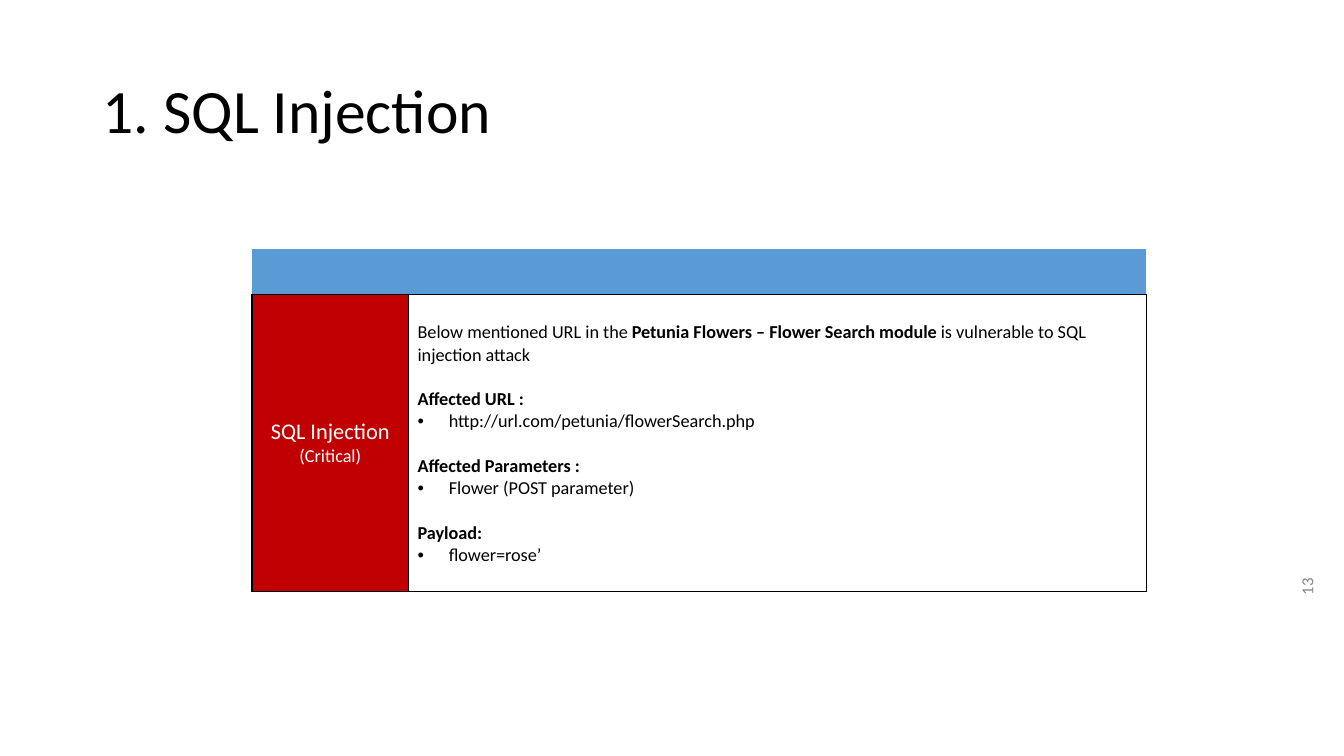
from dataclasses import dataclass

from lxml import etree
from pptx import Presentation
from pptx import util as u
from pptx.dml.color import RGBColor
from pptx.enum import text
from pptx.oxml.ns import qn


@dataclass(frozen=True)
class Theme:
    font: str = "Calibri"
    ink: str = "000000"
    paper: str = "FFFFFF"
    header: str = "5B9BD5"
    critical: str = "C00000"
    muted: str = "888888"
    title: int = 44
    finding: int = 16
    body: int = 13
    number: int = 12
    rule: float = 1


THEME = Theme()
WIDTH, HEIGHT = 13.33, 7.5
TITLE_BOX = (0.92, 0.4, 11.5, 1.45)
TABLE_BOX = (2.5, 2.47, 8.87, 3.4)
NUMBER_BOX = (12.24, 6.11, 1.44, 0.5)
LABEL_SHARE = 0.175
HEADER_HEIGHT = 0.45
BULLET_INDENT = 0.31

SUMMARY = [
    ("Below mentioned URL in the ", False),
    ("Petunia Flowers – Flower Search module ", True),
    ("is vulnerable to SQL injection attack", False),
]
DETAILS = [
    ("Affected URL :", "http://url.com/petunia/flowerSearch.php"),
    ("Affected Parameters :", "Flower (POST parameter)"),
    ("Payload:", "flower=rose’"),
]


def add_span(para, words, size, color, bold=False):
    span = para.add_run()
    span.text = words
    span.font.name = THEME.font
    span.font.size = u.Pt(size)
    span.font.bold = bold
    span.font.color.rgb = RGBColor.from_string(color)


def add_text(page, box, words, size, color):
    shape = page.shapes.add_textbox(*map(u.Inches, box))
    frame = shape.text_frame
    frame.word_wrap = True
    frame.vertical_anchor = text.MSO_ANCHOR.MIDDLE
    add_span(frame.paragraphs[0], words, size, color)
    return shape


def add_title(page, box):
    shape = add_text(page, box, "1. SQL Injection", THEME.title, THEME.ink)
    shape.text_frame.paragraphs[0].line_spacing = 0.9


def add_page_number(page, box):
    shape = add_text(page, box, "13", THEME.number, THEME.muted)
    shape.rotation = 270
    shape.text_frame.paragraphs[0].alignment = text.PP_ALIGN.RIGHT


def style_cell(cell, fill, black_sides):
    cell.fill.solid()
    cell.fill.fore_color.rgb = RGBColor.from_string(fill)
    cell.margin_left = cell.margin_right = u.Inches(0.09)
    properties = cell._tc.get_or_add_tcPr()
    for position, side in enumerate("LRTB"):
        line = etree.Element(qn(f"a:ln{side}"), w=str(u.Pt(THEME.rule)))
        if side in black_sides:
            solid = etree.SubElement(line, qn("a:solidFill"))
            etree.SubElement(solid, qn("a:srgbClr"), val=THEME.ink)
        else:
            etree.SubElement(line, qn("a:noFill"))
        properties.insert(position, line)


def add_bullet(para):
    properties = para._p.get_or_add_pPr()
    indent = u.Inches(BULLET_INDENT)
    properties.set("marL", str(indent))
    properties.set("indent", str(-indent))
    etree.SubElement(properties, qn("a:buFont"), typeface="Arial")
    etree.SubElement(properties, qn("a:buChar"), char="•")


def fill_label(cell):
    cell.vertical_anchor = text.MSO_ANCHOR.MIDDLE
    frame = cell.text_frame
    name, severity = frame.paragraphs[0], frame.add_paragraph()
    name.alignment = severity.alignment = text.PP_ALIGN.CENTER
    add_span(name, "SQL Injection", THEME.finding, THEME.paper)
    add_span(severity, "(Critical)", THEME.body, THEME.paper)


def fill_description(cell):
    cell.margin_top = u.Inches(0.27)
    frame = cell.text_frame
    for words, bold in SUMMARY:
        add_span(frame.paragraphs[0], words, THEME.body, THEME.ink, bold)
    for heading, value in DETAILS:
        para = frame.add_paragraph()
        para.space_before = u.Pt(16)
        add_span(para, heading, THEME.body, THEME.ink, True)
        para = frame.add_paragraph()
        add_bullet(para)
        add_span(para, value, THEME.body, THEME.ink)


def add_finding_table(page, box):
    width, height = box[2:]
    table = page.shapes.add_table(2, 2, *map(u.Inches, box)).table
    table.first_row = table.horz_banding = False
    for column, share in zip(table.columns, (LABEL_SHARE, 1 - LABEL_SHARE)):
        column.width = u.Inches(width * share)
    for row, size in zip(table.rows, (HEADER_HEIGHT, height - HEADER_HEIGHT)):
        row.height = u.Inches(size)
    for column, fill in enumerate((THEME.critical, THEME.paper)):
        style_cell(table.cell(0, column), THEME.header, "B")
        style_cell(table.cell(1, column), fill, "LRTB")
    fill_label(table.cell(1, 0))
    fill_description(table.cell(1, 1))


def main():
    deck = Presentation()
    deck.slide_width, deck.slide_height = u.Inches(WIDTH), u.Inches(HEIGHT)
    page = deck.slides.add_slide(deck.slide_layouts[6])
    add_page_number(page, NUMBER_BOX)
    add_title(page, TITLE_BOX)
    add_finding_table(page, TABLE_BOX)
    deck.save("out.pptx")


if __name__ == "__main__":
    main()
